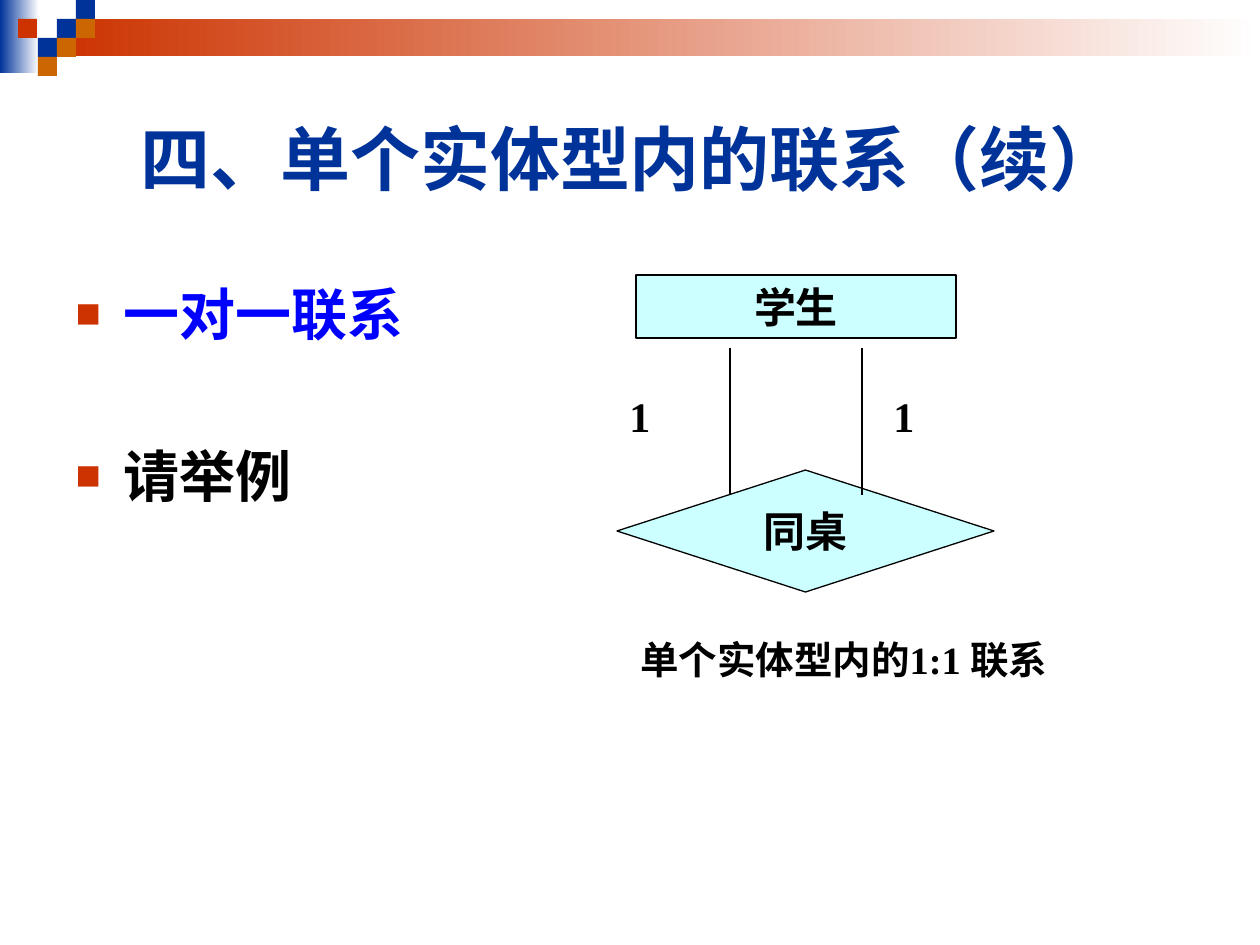
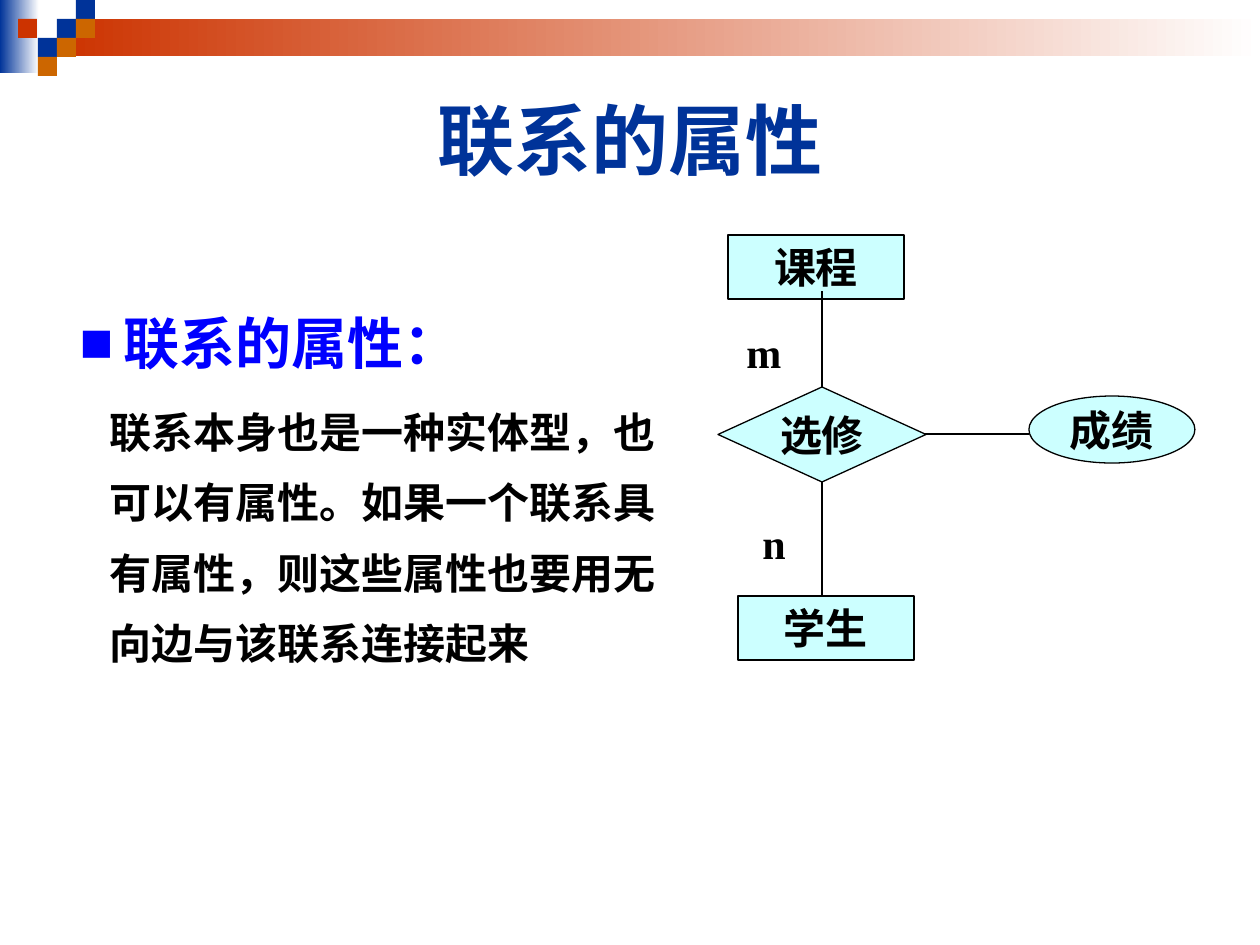
from lxml import etree
from pptx import Presentation
from pptx.dml.color import RGBColor
from pptx.enum.shapes import MSO_CONNECTOR, MSO_SHAPE
from pptx.enum.text import MSO_ANCHOR, MSO_AUTO_SIZE, PP_ALIGN
from pptx.oxml.ns import qn
from pptx.util import Emu, Pt

RECTANGLE = MSO_SHAPE.RECTANGLE
DIAMOND = MSO_SHAPE.DIAMOND
OVAL = MSO_SHAPE.OVAL
STRAIGHT = MSO_CONNECTOR.STRAIGHT
MIDDLE = MSO_ANCHOR.MIDDLE
TOP = MSO_ANCHOR.TOP
CENTER = PP_ALIGN.CENTER
LEFT = PP_ALIGN.LEFT
NO_AUTOFIT = MSO_AUTO_SIZE.NONE

PX_PER_INCH = 126
SANS = "Arial"
SERIF = "Times New Roman"
NAVY = "003399"
RED = "CC3300"
ORANGE = "CC6600"
BLUE = "0000FF"
BLACK = "000000"
WHITE = "FFFFFF"
PALE_CYAN = "CCFFFF"

TILE = 19
TILES = [
    (57, 19, NAVY), (76, 0, NAVY), (76, 19, ORANGE), (38, 38, NAVY),
    (18, 19, RED), (57, 38, ORANGE), (38, 57, ORANGE),
]


def px(length):
    return Emu(round(length * 914400 / PX_PER_INCH))


def color(value):
    return RGBColor.from_string(value)


def place(shape, left, top, width, height):
    shape.left, shape.top = px(left), px(top)
    shape.width, shape.height = px(width), px(height)


def add_span(para, text, size, font, text_color):
    span = para.add_run()
    span.text = text
    span.font.size = Pt(size)
    span.font.name = font
    span.font.bold = True
    span.font.color.rgb = color(text_color)


def add_block(page, kind, left, top, width, height):
    shape = page.shapes.add_shape(kind, px(left), px(top), px(width), px(height))
    shape.shadow.inherit = False
    shape.line.fill.background()
    return shape


def add_fade(page, left, top, width, height, start):
    band = add_block(page, RECTANGLE, left, top, width, height)
    band.fill.gradient()
    band.fill.gradient_angle = 0
    for stop, value, position in zip(band.fill.gradient_stops, (start, WHITE), (0, 1)):
        stop.color.rgb = color(value)
        stop.position = position
    return band


def add_tile(page, left, top, fill):
    tile = add_block(page, RECTANGLE, left, top, TILE, TILE)
    tile.fill.solid()
    tile.fill.fore_color.rgb = color(fill)
    return tile


def decorate_master(deck, page):
    parts = [
        add_fade(page, 0, 0, 39, 73, NAVY),
        add_fade(page, 57, 19, 1203, 37, RED),
    ]
    parts += [add_tile(page, *tile) for tile in TILES]
    tree = deck.slide_master.shapes.element
    for number, part in enumerate(parts, 100):
        part.element.nvSpPr.cNvPr.set("id", str(number))
        tree.append(part.element)


def set_title(page, text, size, height):
    title = page.shapes.title
    place(title, 63, 63, 1134, height)
    frame = title.text_frame
    frame.auto_size = NO_AUTOFIT
    frame.vertical_anchor = MIDDLE
    para = frame.paragraphs[0]
    para.alignment = CENTER
    add_span(para, text, size, SANS, NAVY)


def set_bullet(para, margin, indent, bullet_color=None, percent=100):
    props = para._p.get_or_add_pPr()
    props.set("marL", str(px(margin)))
    props.set("indent", str(px(indent)))
    if bullet_color is None:
        etree.SubElement(props, qn("a:buNone"))
        return
    holder = etree.SubElement(props, qn("a:buClr"))
    etree.SubElement(holder, qn("a:srgbClr"), val=bullet_color)
    etree.SubElement(props, qn("a:buSzPct"), val=str(percent * 1000))
    etree.SubElement(props, qn("a:buFont"), typeface=SANS)
    etree.SubElement(props, qn("a:buChar"), char="■")


def open_body(page, left, top, width, height):
    body = page.placeholders[1]
    place(body, left, top, width, height)
    frame = body.text_frame
    frame.auto_size = NO_AUTOFIT
    frame.vertical_anchor = TOP
    return frame


def add_item(frame, text, size, font, text_color, bullet, before=0, spacing=1.0):
    para = frame.paragraphs[0]
    if para.runs:
        para = frame.add_paragraph()
    set_bullet(para, *bullet)
    para.alignment = LEFT
    para.space_before = Pt(before)
    para.line_spacing = spacing
    add_span(para, text, size, font, text_color)


def write_centered(shape, text, size):
    frame = shape.text_frame
    frame.word_wrap = True
    frame.vertical_anchor = MIDDLE
    frame.margin_left = frame.margin_right = 0
    para = frame.paragraphs[0]
    para.alignment = CENTER
    add_span(para, text, size, SERIF, BLACK)


def add_node(page, kind, text, left, top, width, height):
    node = add_block(page, kind, left, top, width, height)
    node.fill.solid()
    node.fill.fore_color.rgb = color(PALE_CYAN)
    node.line.color.rgb = color(BLACK)
    node.line.width = Pt(0.75)
    write_centered(node, text, 24)


def add_label(page, text, left, top, width, height=63, size=24):
    box = page.shapes.add_textbox(px(left), px(top), px(width), px(height))
    write_centered(box, text, size)


def add_edge(page, x1, y1, x2, y2):
    edge = page.shapes.add_connector(STRAIGHT, px(x1), px(y1), px(x2), px(y2))
    edge.line.color.rgb = color(BLACK)
    edge.line.width = Pt(0.75)
    etree.SubElement(edge._element.spPr, qn("a:effectLst"))


def build_one_to_one(page):
    set_title(page, "四、单个实体型内的联系（续）", 40, 189)
    frame = open_body(page, 63, 273, 1134, 536)
    bullet = (48, -48, RED, 75)
    add_item(frame, "一对一联系", 32, SANS, BLUE, bullet)
    add_item(frame, "请举例", 32, SANS, BLACK, bullet, before=54)

    add_node(page, RECTANGLE, "学生", 636, 275, 320, 63)
    add_node(page, DIAMOND, "同桌", 617, 470, 377, 122)
    for edge_x, label_x in ((730, 620), (862, 884)):
        add_edge(page, edge_x, 348, edge_x, 495)
        add_label(page, "1", label_x, 384, 40)
    add_label(page, "单个实体型内的1:1 联系", 561, 630, 566, 59, 22)


def build_relationship_attributes(page):
    set_title(page, "联系的属性", 44, 151)
    frame = open_body(page, 34, 275, 665, 450)
    add_item(frame, "联系的属性：", 32, SERIF, BLUE, (77, -44, BLUE), spacing=1.4)
    add_item(
        frame,
        "联系本身也是一种实体型，也可以有属性。如果一个联系具有属性，则这些属性也要用无向边与该联系连接起来",
        24, SERIF, BLACK, (63, 0), before=6, spacing=1.4,
    )

    add_node(page, RECTANGLE, "课程", 728, 235, 176, 64)
    add_node(page, DIAMOND, "选修", 718, 387, 208, 95)
    add_node(page, RECTANGLE, "学生", 738, 596, 176, 64)
    add_node(page, OVAL, "成绩", 1029, 396, 166, 67)
    add_edge(page, 822, 387, 822, 291)
    add_edge(page, 822, 482, 822, 596)
    add_edge(page, 925, 434, 1029, 434)
    add_label(page, "m", 738, 320, 52)
    add_label(page, "n", 748, 511, 52)


def main():
    deck = Presentation()
    deck.slide_width, deck.slide_height = px(1260), px(945)
    layout = deck.slide_layouts[1]
    pages = [deck.slides.add_slide(layout) for _ in range(2)]
    decorate_master(deck, pages[0])
    build_one_to_one(pages[0])
    build_relationship_attributes(pages[1])
    deck.save("out.pptx")


if __name__ == "__main__":
    main()
